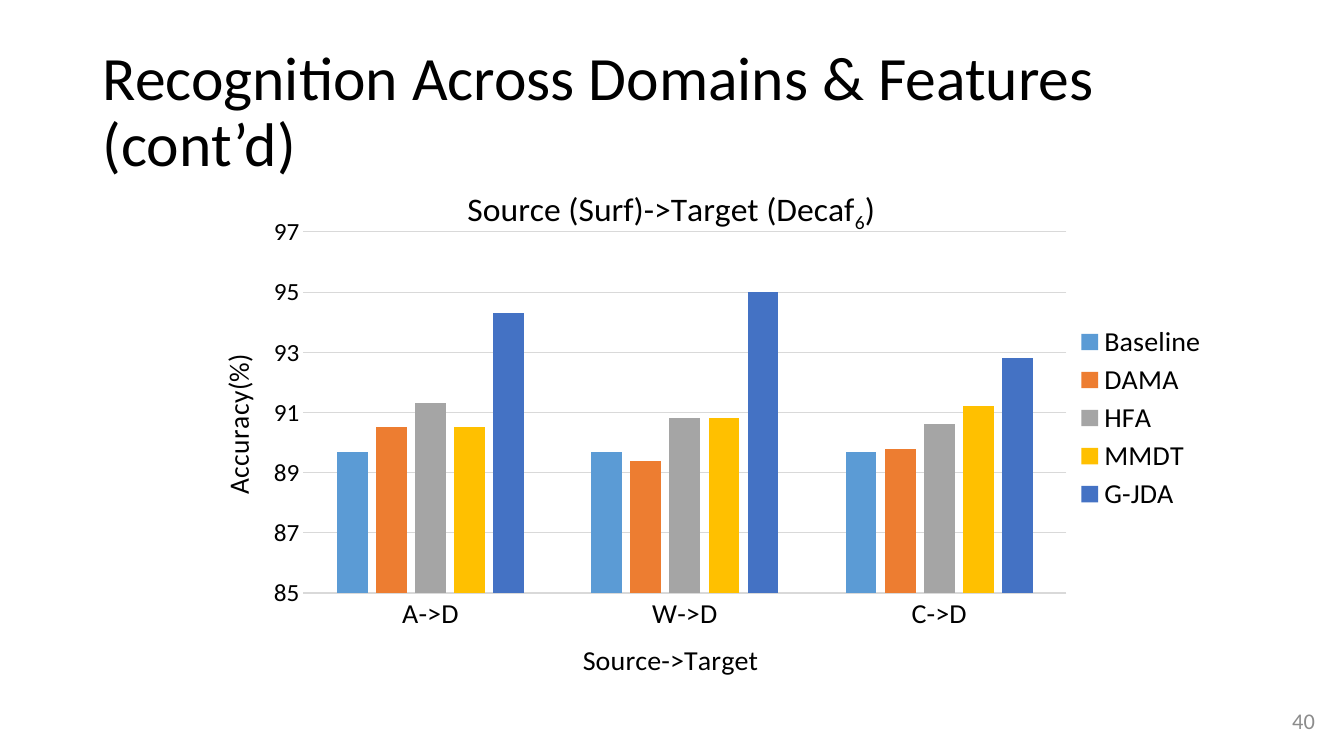
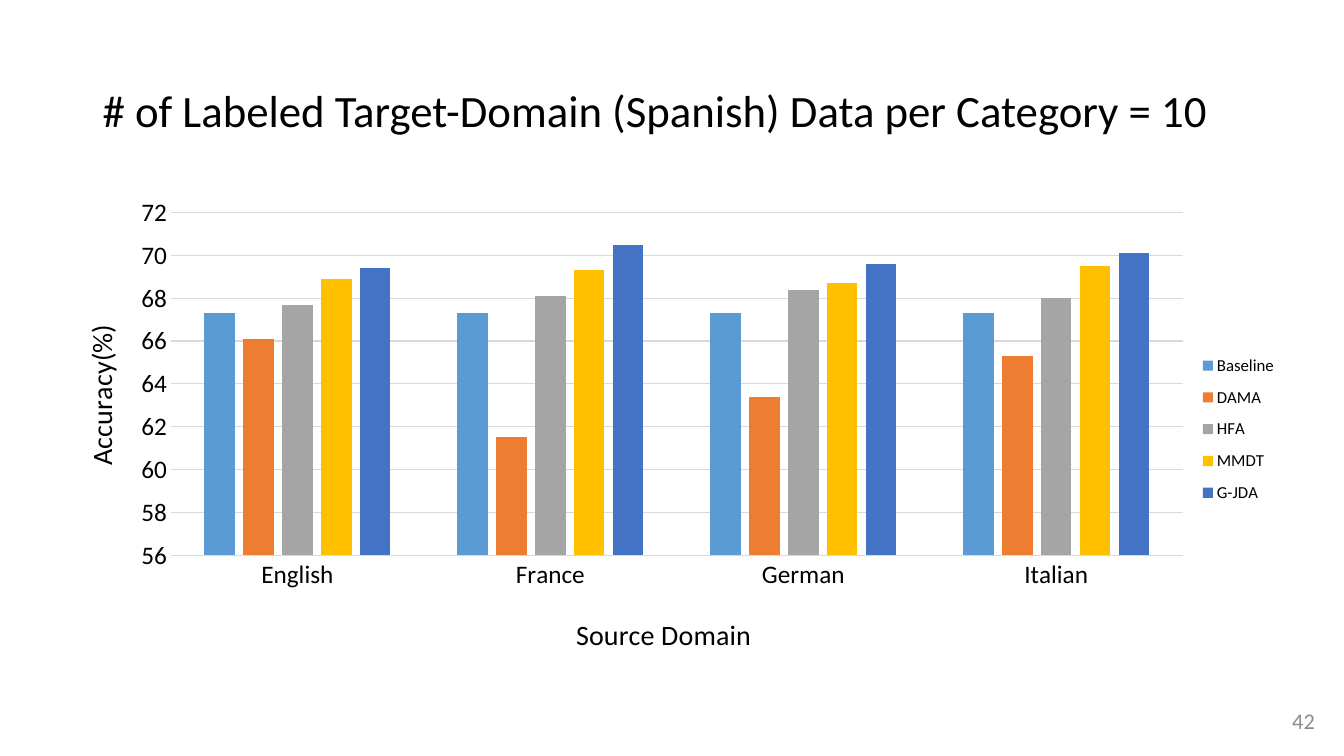
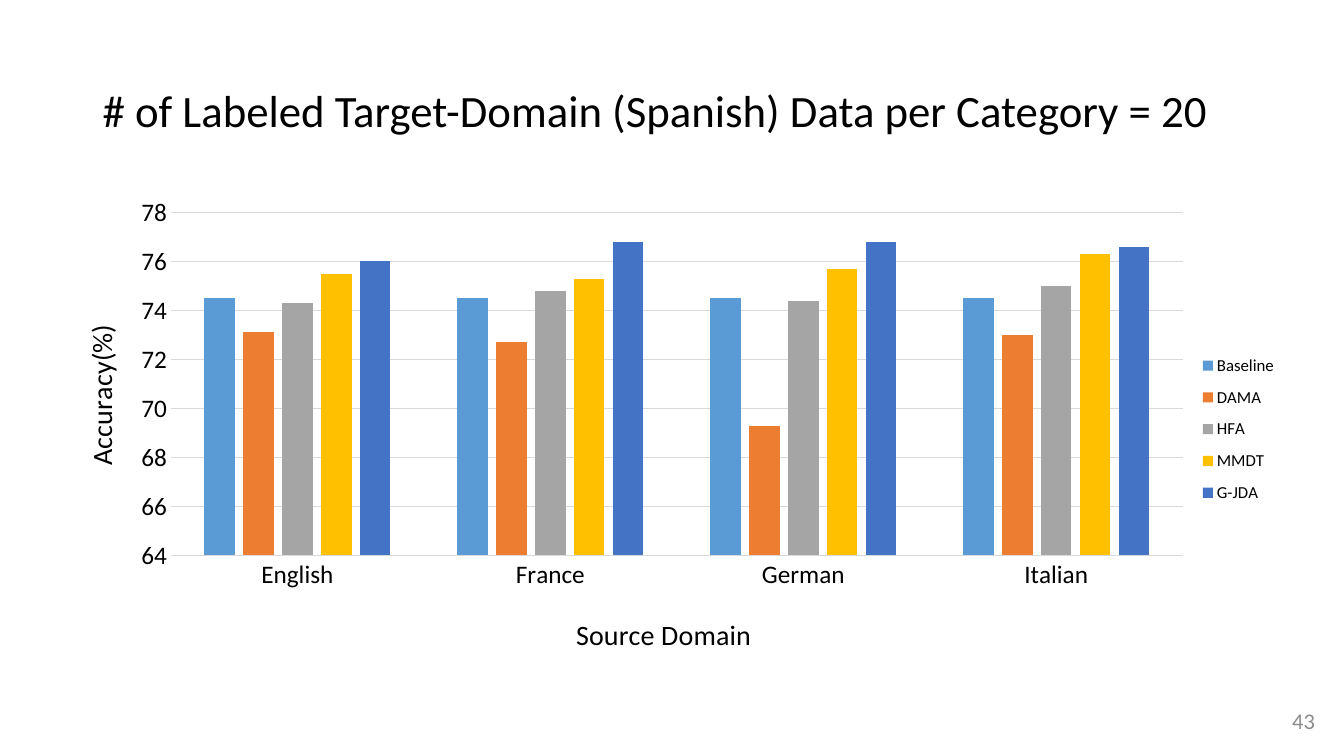
from dataclasses import dataclass

from lxml import etree
from pptx import Presentation
from pptx.chart.data import CategoryChartData
from pptx.dml.color import RGBColor
from pptx.enum.chart import XL_CHART_TYPE, XL_LEGEND_POSITION, XL_TICK_MARK
from pptx.enum.text import MSO_ANCHOR, PP_ALIGN
from pptx.oxml.ns import qn
from pptx.util import Inches, Pt

COLUMNS = XL_CHART_TYPE.COLUMN_CLUSTERED
LEGEND_RIGHT = XL_LEGEND_POSITION.RIGHT
NO_TICK = XL_TICK_MARK.NONE
MIDDLE = MSO_ANCHOR.MIDDLE
LEFT, RIGHT = PP_ALIGN.LEFT, PP_ALIGN.RIGHT


@dataclass(frozen=True)
class Theme:
    font: str = "Calibri"
    text: str = "000000"
    muted: str = "8C8C8C"
    grid: str = "D9D9D9"
    series: tuple = ("5B9BD5", "ED7D31", "A5A5A5", "FFC000", "4472C4")
    title_size: int = 44
    subtitle_size: int = 32
    chart_title_size: int = 24
    axis_title_size: int = 20
    tick_size: int = 18
    number_size: int = 16
    line_width: float = 0.75


@dataclass(frozen=True)
class ChartStyle:
    """Box in percent of the slide; the parts in percent of the chart."""
    box: tuple
    plot: tuple
    legend: tuple
    value_title: tuple
    category_title: tuple
    category_text: str
    category_size: int
    legend_size: int


# Boxes: left, top, width, height in percent
TITLE_BOX = (6.9, 5.33, 90, 19.33)
NUMBER_BOX = (76.07, 92.67, 22.5, 5.33)

FEATURE_STYLE = ChartStyle(
    box=(9.53, 21.47, 81, 69.2), plot=(16.1, 13.6, 70.1, 70.6),
    legend=(86.8, 31, 12.5, 38), value_title=(7.8, 37),
    category_title=(41.3, 92.4), category_text="Source->Target",
    category_size=20, legend_size=20)
LANGUAGE_STYLE = ChartStyle(
    box=(3.45, 24.8, 93.17, 63.47), plot=(9.95, 5.2, 80.8, 71.5),
    legend=(91.7, 32.6, 7, 35.6), value_title=(2.4, 27.5),
    category_title=(41.9, 88), category_text="Source Domain",
    category_size=18, legend_size=12)

METHODS = ("Baseline", "DAMA", "HFA", "MMDT", "G-JDA")
DOMAIN_PAIRS = ("A->D", "W->D", "C->D")
LANGUAGES = ("English", "France", "German", "Italian")

FEATURE_SCORES = ((89.7, 89.7, 89.7), (90.5, 89.4, 89.8), (91.3, 90.8, 90.6),
                  (90.5, 90.8, 91.2), (94.3, 95, 92.8))
# Labeled data per category, page number, axis range, scores by method
LANGUAGE_RESULTS = (
    (10, 42, (56, 72), (
        (67.3, 67.3, 67.3, 67.3), (66.1, 61.5, 63.4, 65.3),
        (67.7, 68.1, 68.4, 68), (68.9, 69.3, 68.7, 69.5),
        (69.4, 70.5, 69.6, 70.1))),
    (20, 43, (64, 78), (
        (74.5, 74.5, 74.5, 74.5), (73.1, 72.7, 69.3, 73),
        (74.3, 74.8, 74.4, 75), (75.5, 75.3, 75.7, 76.3),
        (76, 76.8, 76.8, 76.6))),
)


def place_part(parent, box, inner=False):
    """Give a chart part a fixed place, in percent of the chart."""
    for old_layout in parent.findall(qn("c:layout")):
        parent.remove(old_layout)
    layout = etree.Element(qn("c:layout"))
    manual = etree.SubElement(layout, qn("c:manualLayout"))
    entries = [("layoutTarget", "inner")] if inner else []
    entries += [("xMode", "edge"), ("yMode", "edge")]
    entries += [(key, str(round(share / 100, 4)))
                for key, share in zip("xywh", box)]
    for name, value in entries:
        etree.SubElement(manual, qn("c:" + name)).set("val", value)
    overlay = parent.find(qn("c:overlay"))
    following = parent[0] if overlay is None else overlay
    following.addprevious(layout)


class Deck:
    def __init__(self, theme):
        self.theme = theme
        self.presentation = Presentation()
        self.presentation.slide_width = Inches(13.33)
        self.presentation.slide_height = Inches(7.5)
        self.slide = None

    # Shared helpers
    def lengths(self, box):
        width = self.presentation.slide_width
        height = self.presentation.slide_height
        return [int(share * side / 100)
                for share, side in zip(box, (width, height) * 2)]

    def style_font(self, font, size, color=None):
        font.name = self.theme.font
        font.size = Pt(size)
        font.bold = False
        font.color.rgb = RGBColor.from_string(color or self.theme.text)

    def style_line(self, line):
        line.color.rgb = RGBColor.from_string(self.theme.grid)
        line.width = Pt(self.theme.line_width)

    def add_run(self, paragraph, text, size, color=None):
        run = paragraph.add_run()
        run.text = text
        self.style_font(run.font, size, color)
        return run

    # Slide elements
    def add_slide(self, title, size, number):
        self.slide = self.presentation.slides.add_slide(
            self.presentation.slide_layouts[6])
        self.add_text(TITLE_BOX, title, size, spacing=0.9)
        self.add_text(NUMBER_BOX, str(number), self.theme.number_size,
                      self.theme.muted, RIGHT)

    def add_text(self, box, text, size, color=None, align=LEFT, spacing=1.0):
        shape = self.slide.shapes.add_textbox(*self.lengths(box))
        frame = shape.text_frame
        frame.word_wrap = True
        frame.vertical_anchor = MIDDLE
        paragraph = frame.paragraphs[0]
        paragraph.alignment = align
        paragraph.line_spacing = spacing
        self.add_run(paragraph, text, size, color)

    def add_chart(self, style, categories, scores, value_range):
        data = CategoryChartData()
        data.categories = categories
        for method, values in zip(METHODS, scores):
            data.add_series(method, values)
        chart = self.slide.shapes.add_chart(
            COLUMNS, *self.lengths(style.box), data).chart
        chart.has_title = False
        self.style_font(chart.font, 10)
        self.style_columns(chart.plots[0])
        self.style_axes(chart, style, value_range)
        self.add_legend(chart, style)
        place_part(chart._chartSpace.chart.plotArea, style.plot, inner=True)
        return chart

    # Chart parts
    def style_columns(self, plot):
        plot.gap_width = 219
        plot.overlap = -27
        plot.vary_by_categories = False
        for series, color in zip(plot.series, self.theme.series):
            series.format.fill.solid()
            series.format.fill.fore_color.rgb = RGBColor.from_string(color)
            series.invert_if_negative = False

    def style_axes(self, chart, style, value_range):
        category_axis, value_axis = chart.category_axis, chart.value_axis
        for axis, size, text, place in (
                (category_axis, style.category_size,
                 style.category_text, style.category_title),
                (value_axis, self.theme.tick_size,
                 "Accuracy(%)", style.value_title)):
            axis.major_tick_mark = axis.minor_tick_mark = NO_TICK
            self.style_font(axis.tick_labels.font, size)
            self.add_chart_text(axis.axis_title, place,
                                self.theme.axis_title_size, text)
        self.style_line(category_axis.format.line)
        value_axis.format.line.fill.background()
        value_axis.minimum_scale, value_axis.maximum_scale = value_range
        value_axis.major_unit = 2
        value_axis.tick_labels.number_format = "General"
        value_axis.tick_labels.number_format_is_linked = False
        value_axis.has_major_gridlines = True
        self.style_line(value_axis.major_gridlines.format.line)
        body = value_axis.axis_title.text_frame._txBody.bodyPr
        body.set("rot", "-5400000")
        body.set("vert", "horz")

    def add_chart_text(self, title, place, size, text, subscript="", rest=""):
        paragraph = title.text_frame.paragraphs[0]
        self.add_run(paragraph, text, size)
        if subscript:
            run = self.add_run(paragraph, subscript, size)
            run._r.get_or_add_rPr().set("baseline", "-25000")
            self.add_run(paragraph, rest, size)
        place_part(title._element, place)

    def add_legend(self, chart, style):
        chart.has_legend = True
        legend = chart.legend
        legend.position = LEGEND_RIGHT
        legend.include_in_layout = False
        self.style_font(legend.font, style.legend_size)
        place_part(legend._element, style.legend)


def main():
    theme = Theme()
    deck = Deck(theme)

    # Recognition across features
    deck.add_slide("Recognition Across Domains & Features (cont’d)",
                   theme.title_size, 40)
    chart = deck.add_chart(FEATURE_STYLE, DOMAIN_PAIRS, FEATURE_SCORES,
                           (85, 97))
    chart.has_title = True
    deck.add_chart_text(chart.chart_title, (30.9, 4.5),
                        theme.chart_title_size,
                        "Source (Surf)->Target (Decaf", "6", ")")

    # Text categorization across languages
    for amount, number, value_range, scores in LANGUAGE_RESULTS:
        deck.add_slide("# of Labeled Target-Domain (Spanish) Data "
                       f"per Category = {amount}",
                       theme.subtitle_size, number)
        deck.add_chart(LANGUAGE_STYLE, LANGUAGES, scores, value_range)

    deck.presentation.save("out.pptx")


if __name__ == "__main__":
    main()
